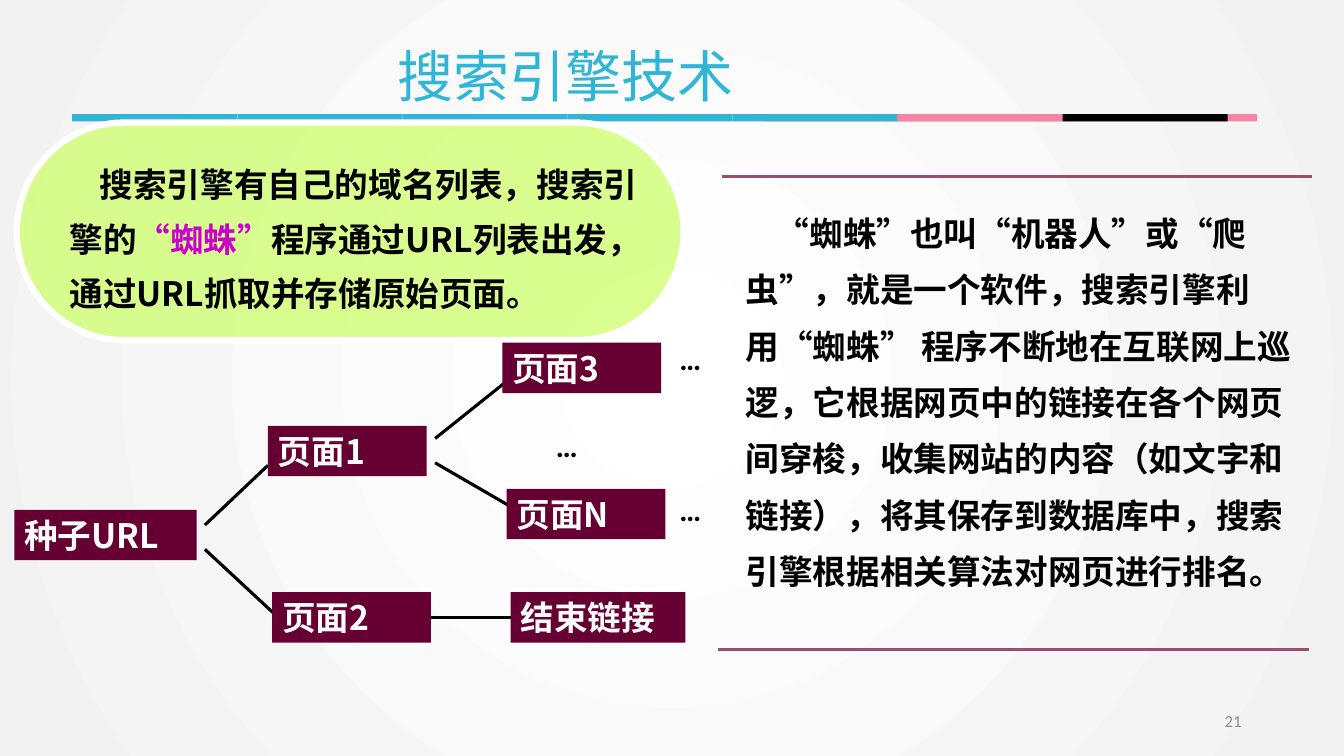
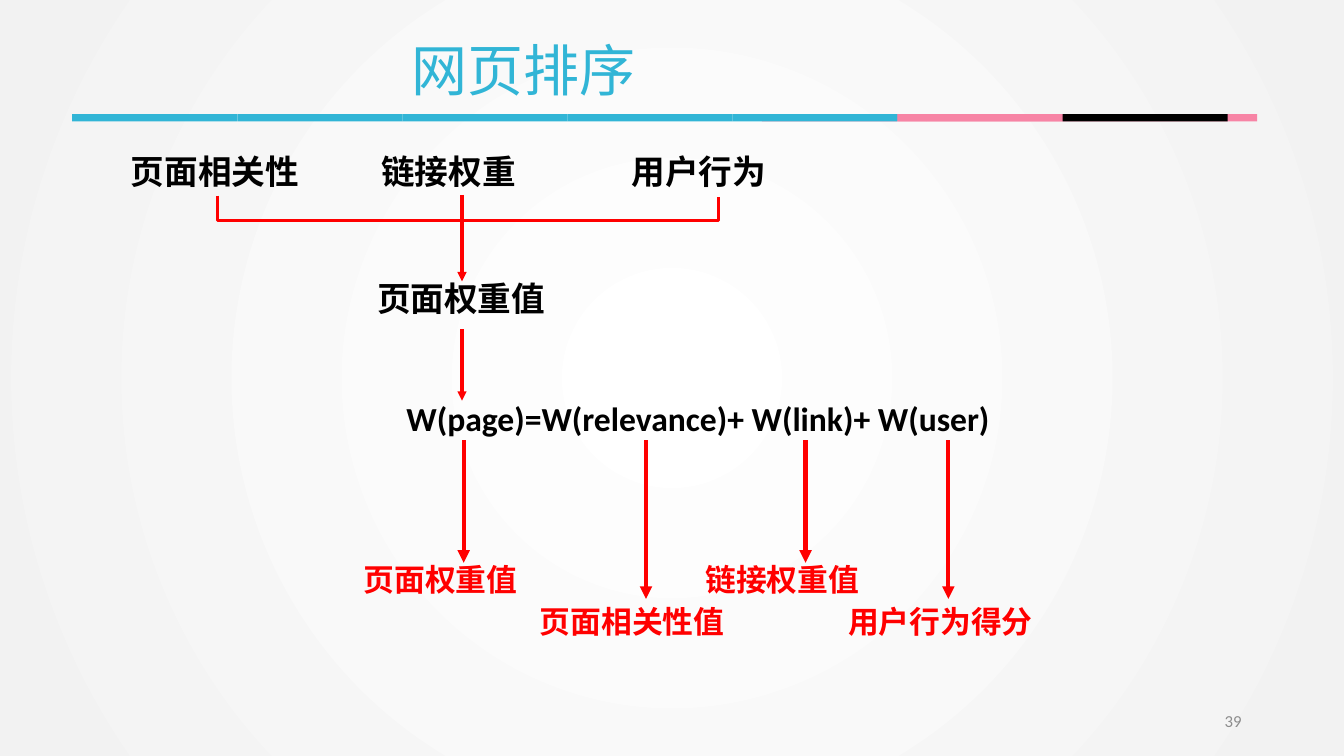
from dataclasses import dataclass

from lxml import etree
from pptx import Presentation
from pptx import util as u
from pptx.dml import color
from pptx.enum import shapes, text
from pptx.oxml import ns

COLUMNS, ROWS = 160, 90
CELL = u.Inches(7.5) / ROWS


@dataclass(frozen=True)
class Theme:
    """Colours, fonts and type sizes shared by the slides."""
    blue: str = "31B5D6"
    pink: str = "F784A5"
    black: str = "000000"
    white: str = "FFFFFF"
    edge: str = "F2F2F2"
    grey: str = "8C8C8C"
    lime: str = "CCFF66"
    magenta: str = "CC00CC"
    plum: str = "954F72"
    wine: str = "660033"
    red: str = "FF0000"
    cjk: str = "Noto Sans CJK SC"
    latin: str = "Calibri"
    title: int = 40
    body: int = 24
    label: int = 22
    footer: int = 12


THEME = Theme()


def cells(*values):
    """Turn grid cells into slide lengths."""
    return [u.Emu(round(value * CELL)) for value in values]


def rgb(value):
    """Turn a hex string into a colour."""
    return color.RGBColor.from_string(value)


def child(parent, tag, **attributes):
    """Append a drawing element to a parent element."""
    return etree.SubElement(parent, ns.qn(tag), **attributes)


def write(shape, runs, size=THEME.body, fill=THEME.black, font=THEME.cjk, bold=True,
          align=None, spacing=None, indent=0, anchor=text.MSO_ANCHOR.TOP):
    """Write one paragraph; runs is a string or a list of (words, colour)."""
    frame = shape.text_frame
    frame.word_wrap = True
    frame.vertical_anchor = anchor
    paragraph = frame.paragraphs[0]
    pieces = [(runs, fill)] if isinstance(runs, str) else runs
    paragraph.text = pieces[0][0]
    for words, _ in pieces[1:]:
        paragraph.add_run().text = words
    paragraph.alignment = align or text.PP_ALIGN.LEFT
    paragraph.line_spacing = spacing
    if indent:
        paragraph._p.get_or_add_pPr().set("indent", str(cells(indent)[0]))
    for run, (_, run_color) in zip(paragraph.runs, pieces):
        run.font.size = u.Pt(size)
        run.font.bold = bold
        run.font.name = font
        run.font.color.rgb = rgb(run_color)
        child(run.font._element, "a:ea", typeface=THEME.cjk)


def add_text(slide, box, runs, **style):
    """Add a text box on the grid."""
    write(slide.shapes.add_textbox(*cells(*box)), runs, **style)


def add_block(slide, box, fill, kind=shapes.MSO_SHAPE.RECTANGLE):
    """Add a filled shape without outline."""
    shape = slide.shapes.add_shape(kind, *cells(*box))
    shape.shadow.inherit = False
    shape.fill.solid()
    shape.fill.fore_color.rgb = rgb(fill)
    shape.line.fill.background()
    return shape


def add_node(slide, left, top, width, words):
    """Add a labelled box of the crawl tree."""
    node = add_block(slide, (left, top, width, 6), THEME.wine)
    write(node, words, fill=THEME.white)
    return node


def add_line(slide, start, end, fill=THEME.black, weight=2.25, arrow=False,
             kind=shapes.MSO_CONNECTOR.STRAIGHT):
    """Add a connector, with an arrowhead at its end if asked."""
    line = slide.shapes.add_connector(kind, *cells(*start, *end))
    line.line.color.rgb = rgb(fill)
    line.line.width = u.Pt(weight)
    if arrow:
        child(line.line._get_or_add_ln(), "a:tailEnd", type="triangle")
    child(line._element.spPr, "a:effectLst")
    return line


def add_bracket(slide, left, right, top, drop):
    """Add an elbow connector that dips below two points on one level."""
    rise = 0.2
    middle, half = (left + right) / 2, (right - left) / 2
    line = add_line(slide, (middle - rise / 2, top - half), (middle + rise / 2, top + half),
                    THEME.red, kind=shapes.MSO_CONNECTOR.ELBOW)
    properties = line._element.spPr
    transform = properties.find(ns.qn("a:xfrm"))
    transform.set("rot", str(270 * 60000))
    transform.set("flipH", "1")
    adjustments = properties.find(ns.qn("a:prstGeom")).get_or_add_avLst()
    child(adjustments, "a:gd", name="adj1", fmla=f"val {round(drop / rise * 100000)}")


def paint_background(master):
    """Give the master a radial gradient."""
    fill = master.background.fill
    fill.gradient()
    for stop, shade, position in zip(fill.gradient_stops, (THEME.white, THEME.edge), (0, 1)):
        stop.color.rgb = rgb(shade)
        stop.position = position
    gradient = master.element.find(".//" + ns.qn("p:bgPr") + "/" + ns.qn("a:gradFill"))
    for linear in gradient.findall(ns.qn("a:lin")):
        gradient.remove(linear)
    circle = child(gradient, "a:path", path="circle")
    child(circle, "a:fillToRect", **dict.fromkeys("ltrb", "50000"))


def add_page(presentation, title, left, top, number):
    """Add a blank slide with title, colour band and page number."""
    slide = presentation.slides.add_slide(presentation.slide_layouts[6])
    step = 19.65
    bands = ((90.7, [THEME.pink] * 3),
             (8.6, [THEME.blue] * 5 + [THEME.pink, THEME.black]))
    for start, colors in bands:
        for index, fill in enumerate(colors):
            add_block(slide, (start + index * step, 13.6, step, 0.85), fill)
    add_text(slide, (left, top, 43, 9.2), title, size=THEME.title, fill=THEME.blue, bold=False)
    add_text(slide, (113, 83.4, 36, 4.8), number, size=THEME.footer, fill=THEME.grey,
             font=THEME.latin, bold=False, align=text.PP_ALIGN.RIGHT,
             anchor=text.MSO_ANCHOR.MIDDLE)
    return slide


def build_crawler(presentation):
    """Build the slide on how a crawler collects pages."""
    slide = add_page(presentation, "搜索引擎技术", 46.2, 4.3, "21")
    bubble = add_block(slide, (2, 14.6, 79.4, 25.9), THEME.lime,
                       shapes.MSO_SHAPE.FLOWCHART_TERMINATOR)
    child(bubble._element.spPr.find(ns.qn("a:solidFill"))[0], "a:alpha", val="72000")
    bubble.line.color.rgb = rgb(THEME.white)
    bubble.line.width = u.Pt(4.5)
    add_text(slide, (7.1, 17.3, 70.3, 20.9),
             [("搜索引擎有自己的域名列表，搜索引擎的", THEME.black),
              ("“蜘蛛”", THEME.magenta),
              ("程序通过URL列表出发，通过URL抓取并存储原始页面。", THEME.black)],
             spacing=1.35, indent=3.6)
    add_text(slide, (87.6, 22.8, 68.8, 58.6),
             "“蜘蛛”也叫“机器人”或“爬虫”，就是一个软件，搜索引擎利用“蜘蛛” 程序不断地"
             "在互联网上巡逻，它根据网页中的链接在各个网页间穿梭，收集网站的内容"
             "（如文字和链接），将其保存到数据库中，搜索引擎根据相关算法对网页进行排名。",
             spacing=1.4, indent=3.6)
    for left, top in ((85.9, 21), (85.5, 77.3)):
        add_line(slide, (left, top), (left + 70.3, top), THEME.plum)

    branches = (((24.4, 62.5), (31.9, 55.4)), ((24.4, 65.4), (32.9, 73.3)),
                ((51.8, 52.2), (60.8, 45)), ((51.8, 55.1), (61.3, 60.6)))
    for start, end in branches:
        add_line(slide, start, end)
    for left, top, width, words in ((1.7, 60.7, 21.7, "种子URL"), (31.9, 50.7, 18.9, "页面1"),
                                    (59.8, 40.8, 18.9, "页面3"), (60.3, 58.2, 18.9, "页面N")):
        add_node(slide, left, top, width, words)
    page = add_node(slide, 32.4, 70.5, 18.9, "页面2")
    last = add_node(slide, 60.8, 70.5, 20.8, "结束链接")
    link = add_line(slide, (51.3, 73.5), (60.8, 73.5))
    link.begin_connect(page, 3)
    link.end_connect(last, 1)
    for left, top in ((79.7, 39.8), (79.7, 57.8), (65, 50.2)):
        add_text(slide, (left, top, 7.6, 5.6), "…", size=THEME.label, font=THEME.latin)


def build_ranking(presentation):
    """Build the slide on how page weight is made up."""
    slide = add_page(presentation, "网页排序", 47.8, 3.6, "39")
    for index, words in enumerate(("页面相关性", "链接权重", "用户行为")):
        add_text(slide, (14.4 + index * 29.8, 17.4, 22.7, 6), words, font=THEME.latin)
    add_bracket(slide, 25.9, 85.5, 23.4, 3)
    for top, bottom in ((23.2, 33.5), (39.2, 47.7)):
        add_line(slide, (55, top), (55, bottom), THEME.red, arrow=True)
    add_text(slide, (43.7, 32.5, 22.7, 6), "页面权重值", font=THEME.latin)
    add_text(slide, (47.2, 46.8, 75.6, 6), "W(page)=W(relevance)+ W(link)+ W(user)",
             font=THEME.latin)
    terms = ((55.2, 42.1, "页面权重值"), (76.9, 63.1, "页面相关性值"),
             (95.9, 82.8, "链接权重值"), (112.9, 99.8, "用户行为得分"))
    for index, (center, left, words) in enumerate(terms):
        drop = index % 2
        add_text(slide, (left, 66.1 + 5 * drop, 26, 5.6), words, size=THEME.label,
                 fill=THEME.red, anchor=text.MSO_ANCHOR.MIDDLE)
        add_line(slide, (center, 52.4), (center, 67 + 4.3 * drop), THEME.red, 3, arrow=True)


def main():
    """Build and save the presentation."""
    presentation = Presentation()
    presentation.slide_width, presentation.slide_height = cells(COLUMNS, ROWS)
    paint_background(presentation.slide_master)
    build_crawler(presentation)
    build_ranking(presentation)
    presentation.save("out.pptx")


if __name__ == "__main__":
    main()
